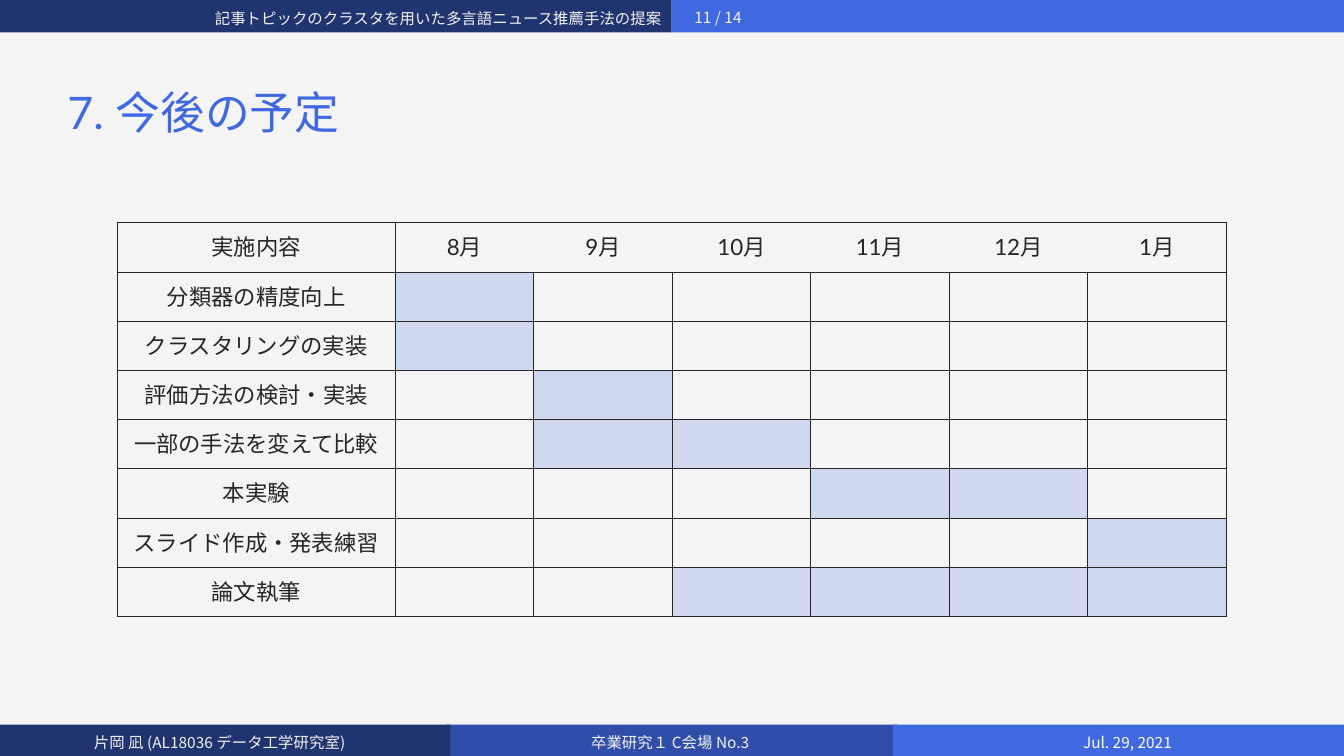
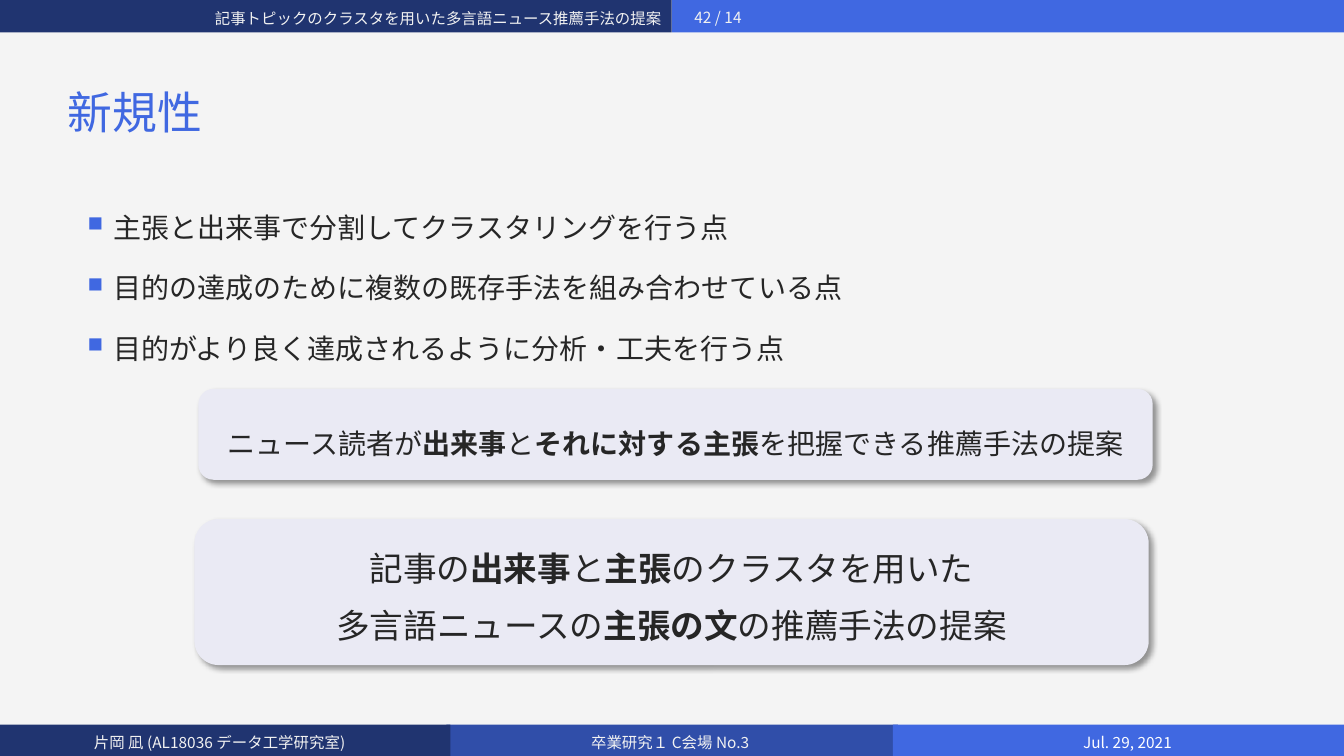
from dataclasses import dataclass
from typing import Any, NamedTuple

from lxml.etree import SubElement
from pptx import Presentation
from pptx.dml.color import RGBColor
from pptx.enum.shapes import MSO_SHAPE
from pptx.enum.text import MSO_ANCHOR, PP_ALIGN
from pptx.oxml.ns import qn
from pptx.util import Cm, Pt

PAPER = RGBColor(0xF4, 0xF4, 0xF4)
NAVY = RGBColor(0x20, 0x34, 0x70)
MEDIUM_BLUE = RGBColor(0x30, 0x4E, 0xA9)
BRIGHT_BLUE = RGBColor(0x40, 0x68, 0xE1)
PALE_BLUE = RGBColor(0xD0, 0xD8, 0xF0)
LAVENDER = RGBColor(0xEA, 0xEA, 0xF4)
INK = RGBColor(0x26, 0x26, 0x26)
OFF_WHITE = RGBColor(0xF2, 0xF2, 0xF2)
WHITE = RGBColor(0xFF, 0xFF, 0xFF)
BLACK = RGBColor(0x00, 0x00, 0x00)

LATO = "Lato"
NOTO = "Noto Sans CJK JP"


class Area(NamedTuple):
    left: float
    top: float
    width: float
    height: float

    def lengths(self) -> list[int]:
        return [Cm(value) for value in self]


class Style(NamedTuple):
    size: float
    color: RGBColor
    font: str = LATO


class Span(NamedTuple):
    text: str
    bold: bool = False


@dataclass(frozen=True)
class Band:
    area: Area
    color: RGBColor
    text: str = ""
    text_color: RGBColor = OFF_WHITE
    margin_left: float = 0
    margin_right: float = 0.1


@dataclass(frozen=True)
class Callout:
    area: Area
    size: float
    lines: list[list[Span]]
    spacing: float | None = None


@dataclass(frozen=True)
class Task:
    name: str
    months: range


TITLE = Style(32, BRIGHT_BLUE)
BODY = Style(20, INK)
CELL = Style(16, INK)
HEADER = Style(11, OFF_WHITE)
PAGE_NUMBER = Style(11, OFF_WHITE, NOTO)

BANDS = [
    Band(Area(11.25, 18.26, 11.38, 0.89), MEDIUM_BLUE, "卒業研究１ C会場 No.3"),
    Band(Area(-0.18, 18.26, 11.53, 0.89), NAVY, "片岡 凪 (AL18036 データ工学研究室)"),
    Band(Area(22.5, 18.26, 11.53, 0.89), BRIGHT_BLUE, "Jul. 29, 2021", WHITE, 0.3, 0),
    Band(Area(16.93, -0.1, 17.1, 0.92), BRIGHT_BLUE),
    Band(Area(-0.18, -0.1, 17.11, 0.92), NAVY),
]

MONTHS = ["8月", "9月", "10月", "11月", "12月", "1月"]
TASKS = [
    Task("分類器の精度向上", range(1, 2)),
    Task("クラスタリングの実装", range(1, 2)),
    Task("評価方法の検討・実装", range(2, 3)),
    Task("一部の手法を変えて比較", range(2, 4)),
    Task("本実験", range(4, 6)),
    Task("スライド作成・発表練習", range(6, 7)),
    Task("論文執筆", range(3, 7)),
]
TASK_WIDTH, MONTH_WIDTH, ROW_HEIGHT = 7.0, 3.49, 1.24

POINTS = [
    "主張と出来事で分割してクラスタリングを行う点",
    "目的の達成のために複数の既存手法を組み合わせている点",
    "目的がより良く達成されるように分析・工夫を行う点",
]
CALLOUTS = [
    Callout(
        Area(5.0, 9.8, 24.05, 2.29),
        20,
        [[
            Span("ニュース読者が"),
            Span("出来事", True),
            Span("と"),
            Span("それに対する主張", True),
            Span("を把握できる推薦手法の提案"),
        ]],
        1.3,
    ),
    Callout(
        Area(4.9, 13.08, 24.05, 3.68),
        24,
        [
            [
                Span("記事の"),
                Span("出来事", True),
                Span("と"),
                Span("主張", True),
                Span("のクラスタを用いた"),
            ],
            [Span("多言語ニュースの"), Span("主張の文", True), Span("の推薦手法の提案")],
        ],
    ),
]
PARAGRAPH_GAP = Pt(6)
TOP_MARGIN = Cm(0.13) + PARAGRAPH_GAP


def apply(target: Any, formats: dict[str, Any]) -> None:
    for name, value in formats.items():
        setattr(target, name, value)


def write(para: Any, spans: list[Span], style: Style, **formats: Any) -> None:
    apply(para, formats)
    for span in spans:
        run = para.add_run()
        run.text = span.text
        apply(run.font, {"size": Pt(style.size), "name": style.font, "bold": span.bold})
        run.font.color.rgb = style.color
        SubElement(run.font._element, qn("a:ea"), typeface=style.font)


def add_text(page: Any, area: Area, text: str, style: Style,
             anchor: MSO_ANCHOR = MSO_ANCHOR.MIDDLE, **formats: Any) -> None:
    frame = page.shapes.add_textbox(*area.lengths()).text_frame
    apply(frame, {"word_wrap": True, "vertical_anchor": anchor})
    write(frame.paragraphs[0], [Span(text)], style, **formats)


def add_block(page: Any, kind: MSO_SHAPE, area: Area, color: RGBColor) -> Any:
    shape = page.shapes.add_shape(kind, *area.lengths())
    shape.shadow.inherit = False
    shape.fill.solid()
    shape.fill.fore_color.rgb = color
    shape.line.fill.background()
    return shape


def add_band(page: Any, band: Band) -> None:
    frame = add_block(page, MSO_SHAPE.RECTANGLE, band.area, band.color).text_frame
    apply(frame, {
        "margin_left": Cm(band.margin_left),
        "margin_right": Cm(band.margin_right),
        "margin_top": 0,
        "margin_bottom": 0,
        "vertical_anchor": MSO_ANCHOR.MIDDLE,
    })
    if band.text:
        style = Style(11, band.text_color, NOTO)
        write(frame.paragraphs[0], [Span(band.text)], style, alignment=PP_ALIGN.CENTER)


def add_page(deck: Any, title: str, number: str) -> Any:
    page = deck.slides.add_slide(deck.slide_layouts[6])
    page.background.fill.solid()
    page.background.fill.fore_color.rgb = PAPER
    for band in BANDS:
        add_band(page, band)
    add_text(page, Area(17.25, -0.08, 7.62, 1.02), number, PAGE_NUMBER)
    add_text(page, Area(0, 0.1, 16.93, 1.19),
             "記事トピックのクラスタを用いた多言語ニュース推薦手法の提案",
             HEADER, MSO_ANCHOR.TOP, alignment=PP_ALIGN.RIGHT)
    add_text(page, Area(1.45, 1.07, 31.12, 3.68), title, TITLE, line_spacing=0.9)
    return page


def add_border(cell: Any, side: str, visible: bool) -> None:
    edge = SubElement(cell._tc.get_or_add_tcPr(), qn(f"a:ln{side}"), w=str(Pt(0.5)))
    if visible:
        fill = SubElement(edge, qn("a:solidFill"))
        SubElement(fill, qn("a:srgbClr"), val=str(INK))
    else:
        SubElement(edge, qn("a:noFill"))


def add_schedule(page: Any) -> None:
    rows = [["実施内容", *MONTHS]] + [[task.name] + [""] * len(MONTHS) for task in TASKS]
    last = len(MONTHS)
    area = Area(2.96, 5.61, TASK_WIDTH + MONTH_WIDTH * last, ROW_HEIGHT * len(rows))
    table = page.shapes.add_table(len(rows), last + 1, *area.lengths()).table
    apply(table, {"first_row": False, "horz_banding": False})
    for index, column in enumerate(table.columns):
        column.width = Cm(MONTH_WIDTH if index else TASK_WIDTH)
    for row_index, texts in enumerate(rows):
        table.rows[row_index].height = Cm(ROW_HEIGHT)
        for index, text in enumerate(texts):
            cell = table.cell(row_index, index)
            cell.vertical_anchor = MSO_ANCHOR.MIDDLE
            add_border(cell, "L", row_index > 0 or index < 2)
            add_border(cell, "R", row_index > 0 or index in (0, last))
            add_border(cell, "T", True)
            add_border(cell, "B", True)
            if row_index and index in TASKS[row_index - 1].months:
                cell.fill.solid()
                cell.fill.fore_color.rgb = PALE_BLUE
            else:
                cell.fill.background()
            if text:
                write(cell.text_frame.paragraphs[0], [Span(text)], CELL,
                      alignment=PP_ALIGN.CENTER)


def add_bullet(para: Any) -> None:
    properties = para._p.get_or_add_pPr()
    properties.set("marL", str(Cm(0.64)))
    properties.set("indent", str(Cm(-0.79)))
    color = SubElement(properties, qn("a:buClr"))
    SubElement(color, qn("a:srgbClr"), val=str(BRIGHT_BLUE))
    SubElement(properties, qn("a:buSzPct"), val="75000")
    SubElement(properties, qn("a:buChar"), char="■")


def add_points(page: Any) -> None:
    frame = page.shapes.add_textbox(*Area(1.96, 4.7, 30.1, 12.47).lengths()).text_frame
    apply(frame, {"word_wrap": True, "margin_top": TOP_MARGIN})
    for index, point in enumerate(POINTS):
        para = frame.add_paragraph() if index else frame.paragraphs[0]
        add_bullet(para)
        write(para, [Span(point)], BODY, line_spacing=1.3,
              space_before=PARAGRAPH_GAP if index else 0, space_after=PARAGRAPH_GAP)


def add_callout(page: Any, callout: Callout) -> None:
    shape = add_block(page, MSO_SHAPE.ROUNDED_RECTANGLE, callout.area, LAVENDER)
    effects = shape._element.spPr.find(qn("a:effectLst"))
    shadow = SubElement(effects, qn("a:outerShdw"), blurRad=str(Pt(4)), dist=str(Pt(3)),
                        dir="2700000", algn="tl", rotWithShape="0")
    color = SubElement(shadow, qn("a:srgbClr"), val=str(BLACK))
    SubElement(color, qn("a:alpha"), val="40000")
    frame = shape.text_frame
    apply(frame, {"word_wrap": True, "vertical_anchor": MSO_ANCHOR.MIDDLE,
                  "margin_top": TOP_MARGIN})
    for index, spans in enumerate(callout.lines):
        para = frame.add_paragraph() if index else frame.paragraphs[0]
        write(para, spans, Style(callout.size, INK), alignment=PP_ALIGN.CENTER,
              line_spacing=callout.spacing,
              space_before=PARAGRAPH_GAP if index else 0, space_after=PARAGRAPH_GAP)


def main() -> None:
    deck = Presentation()
    apply(deck, {"slide_width": Cm(33.87), "slide_height": Cm(19.05)})
    add_schedule(add_page(deck, "7. 今後の予定", "11 / 14"))
    novelty = add_page(deck, "新規性", "42 / 14")
    add_points(novelty)
    for callout in CALLOUTS:
        add_callout(novelty, callout)
    deck.save("out.pptx")


if __name__ == "__main__":
    main()
